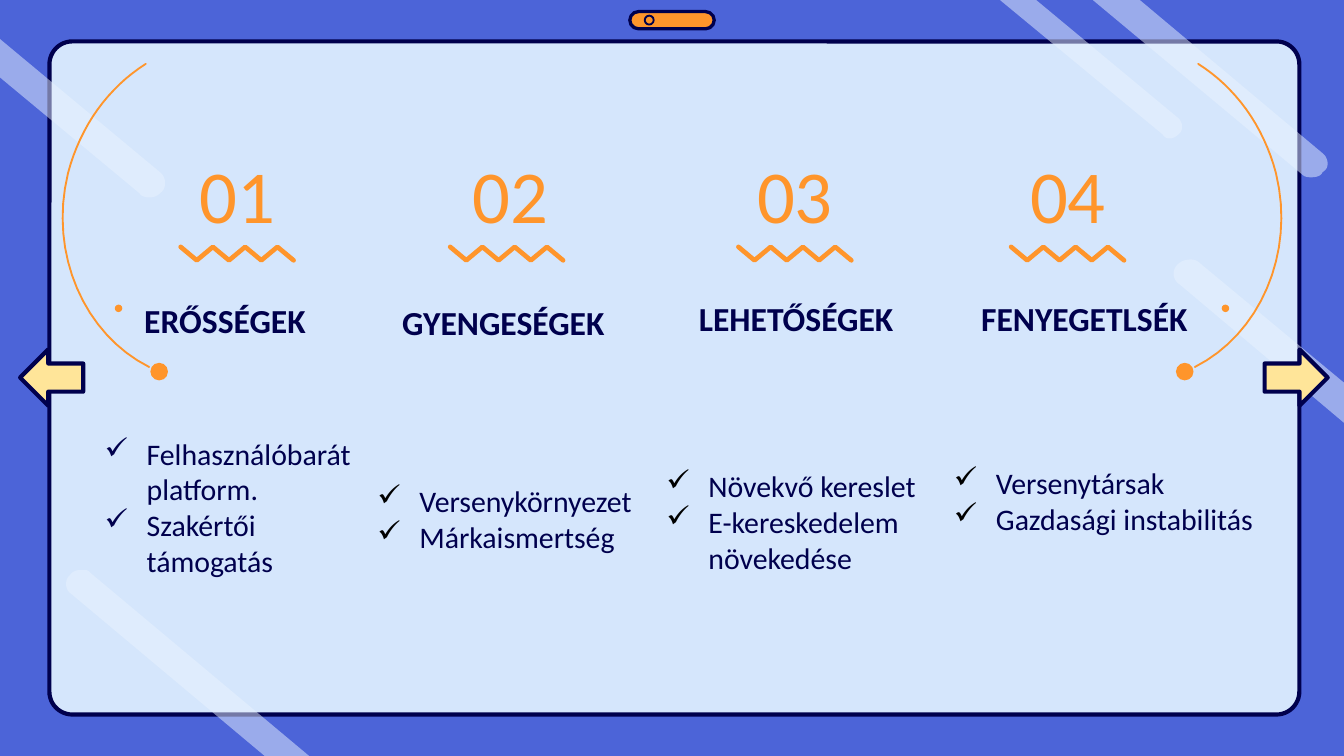
import pptx
import pptx.dml.color
import pptx.enum.shapes
import pptx.enum.text
import pptx.oxml
import pptx.oxml.ns
import pptx.util
import lxml.etree

Pt = pptx.util.Pt
qn = pptx.oxml.ns.qn
SHAPE = pptx.enum.shapes.MSO_SHAPE
COLORS = {
    "background": "4C64D8",
    "panel": "D5E6FC",
    "navy": "00004D",
    "stripe": "E9F3FF",
    "orange": "FF952B",
    "arrow": "FFE599",
    "black": "000000",
}
RGB = {name: pptx.dml.color.RGBColor.from_string(value) for name, value in COLORS.items()}
WIDTH, HEIGHT = 720, 405

presentation = pptx.Presentation()
presentation.slide_width = Pt(WIDTH)
presentation.slide_height = Pt(HEIGHT)
slide = presentation.slides.add_slide(presentation.slide_layouts[6])
slide.background.fill.solid()
slide.background.fill.fore_color.rgb = RGB["background"]


def add_text(text, left, top, width, height, size=16, color="navy", bold=False, bullet=None):
    box = slide.shapes.add_textbox(Pt(left), Pt(top), Pt(width), Pt(height))
    frame = box.text_frame
    frame.word_wrap = True
    frame.vertical_anchor = pptx.enum.text.MSO_ANCHOR.MIDDLE
    frame.margin_left = frame.margin_right = frame.margin_top = frame.margin_bottom = Pt(7.2)
    frame.text = text
    for paragraph in frame.paragraphs:
        font = paragraph.font
        for run in paragraph.runs:
            font = run.font
            font.name = "Calibri"
            font.size = Pt(size)
            font.bold = bold
            font.color.rgb = RGB[color]
        if bullet is None:
            paragraph.alignment = pptx.enum.text.PP_ALIGN.CENTER
            continue
        properties = paragraph._p.get_or_add_pPr()
        properties.set("marL", str(Pt(22.5)))
        properties.set("indent", str(-Pt(22.5)))
        bullet_color = lxml.etree.SubElement(properties, qn("a:buClr"))
        lxml.etree.SubElement(bullet_color, qn("a:srgbClr")).set("val", COLORS[bullet])
        lxml.etree.SubElement(properties, qn("a:buChar")).set("char", "✓")


def add_figure(figure, fill=None, line=None, weight=1, path=(), box=(), adjustments=(), alpha=None):
    if path:
        points = [path[0]]
        for step in path[1:]:
            if len(step) == 2:
                points.append(step)
                continue
            x, y = points[-1]
            x1, y1, x2, y2, x3, y3 = step
            for t in [i / 16 for i in range(1, 17)]:
                u = 1 - t
                a, b, c, d = u ** 3, 3 * u * u * t, 3 * u * t * t, t ** 3
                points.append((a * x + b * x1 + c * x2 + d * x3, a * y + b * y1 + c * y2 + d * y3))
        points = [(Pt(x), Pt(y)) for x, y in points]
        builder = slide.shapes.build_freeform(*points[0])
        builder.add_line_segments(points[1:], close=fill is not None)
        shape = builder.convert_to_shape()
    else:
        shape = slide.shapes.add_shape(figure, *[Pt(value) for value in box])
    shape.shadow.inherit = False
    for index, value in enumerate(adjustments):
        shape.adjustments[index] = value
    if fill:
        shape.fill.solid()
        shape.fill.fore_color.rgb = RGB[fill]
        if alpha:
            color = shape._element.spPr.find(qn("a:solidFill"))[0]
            lxml.etree.SubElement(color, qn("a:alpha")).set("val", str(alpha * 1000))
    else:
        shape.fill.background()
    if line:
        shape.line.color.rgb = RGB[line]
        shape.line.width = Pt(weight)
        if path:
            outline = shape._element.spPr.find(qn("a:ln"))
            outline.set("cap", "rnd")
            lxml.etree.SubElement(outline, qn("a:round"))
    else:
        shape.line.fill.background()


add_figure(SHAPE.ROUNDED_RECTANGLE, "panel", "navy", 2.25, box=(26.5, 22.2, 669.6, 360.6), adjustments=[0.034])

stripes = [
    [(585.4, 0), (697.7, 93.6), (699.1, 95, 701.3, 95, 702.7, 95),
     (705, 95, 707.8, 94.3, 708.5, 92.2), (712.8, 90, 711.4, 84.2, 708.5, 82.1), (610.6, 0)],
    [(535.7, 0), (622.8, 72), (624.2, 74.2, 625.7, 74.2, 627.1, 74.2),
     (628.6, 74.2, 630.7, 72.7, 631.4, 72), (634.3, 69.8, 633.6, 65.5, 631.4, 63.4), (555.1, 0)],
    [(43.9, 305.3), (41, 305.3, 38.9, 306, 37.4, 308.2),
     (34.6, 310.3, 34.6, 316.1, 38.2, 318.2), (141.8, 405), (165.6, 405), (48.2, 306.7),
     (47.5, 305.3, 45.4, 305.3, 43.9, 305.3)],
    [(79.9, 105.8), (82.8, 105.8, 84.2, 105.1, 86.4, 103),
     (89.3, 100.8, 89.3, 95, 85.7, 92.2), (0, 20.9), (0, 41.5), (74.9, 103.7),
     (75.6, 105.1, 77.8, 105.8, 79.9, 105.8)],
    [(637.9, 139), (635, 139, 632.9, 139.7, 630.7, 141.8),
     (627.8, 144.7, 627.8, 149.8, 632.2, 152.6), (720, 226.5), (720, 205), (643, 141.1),
     (641.5, 139.7, 640.1, 139, 637.9, 139)],
]
for stripe in stripes:
    add_figure(None, "stripe", path=stripe, alpha=50)

add_figure(SHAPE.ROUNDED_RECTANGLE, "orange", "navy", 1.75, box=(337.4, 6.2, 45.2, 9.2), adjustments=[0.5])
add_figure(SHAPE.OVAL, None, "navy", 1, box=(345.4, 8.4, 4.8, 4.8))

columns = [
    ("01", (51.1, 151.9), 96.8, "ERŐSSÉGEK", (51.8, 148.3, 137.5),
     "Felhasználóbarát platform.\nSzakértői támogatás", (49, 207.4, 156.2, 128.2), "navy"),
    ("02", (197.3, 151.9), 241.2, "GYENGESÉGEK", (190.1, 149, 159.1),
     "Versenykörnyezet\nMárkaismertség", (195.1, 220.3, 156.2, 115.2), "black"),
    ("03", (349.9, 151.9), 395.6, "LEHETŐSÉGEK", (348.5, 146.9, 156.2),
     "Növekvő kereslet\nE-kereskedelem növekedése", (349.9, 223.9, 151.9, 110.9), "black"),
    ("04", (496.1, 151.9), 541.7, "FENYEGETLSÉK", (498.2, 146.9, 165.6),
     "Versenytársak\nGazdasági instabilitás", (504, 233.3, 190.1, 69.8), "black"),
]
for number, (left, width), zigzag_left, heading, heading_box, points, points_box, bullet in columns:
    add_text(number, left, 80.6, width, 46.8, size=40, color="orange")
    add_text(heading, *heading_box, 46.8, size=18, bold=True)
    add_text(points, *points_box, bullet=bullet)
    zigzag = [(zigzag_left + 8.64 * i, 139.5 if i % 2 else 132.3) for i in range(8)]
    add_figure(None, None, "orange", 2.5, path=zigzag)

arc = [(79.9, 196.6), (45.4, 179.3, 25.9, 136.1, 36.4, 92.9), (43.2, 67, 58.3, 46.8, 78.1, 34.2)]
for mirrored in (False, True):
    sides = [[WIDTH - value if mirrored and i % 2 == 0 else value for i, value in enumerate(step)] for step in arc]
    add_figure(None, None, "orange", 1, path=sides)
    for center, middle, size in ((63.5, 165.2, 4), (85.3, 199.1, 9.4)):
        x = WIDTH - center if mirrored else center
        add_figure(SHAPE.OVAL, "orange", box=(x - size / 2, middle - size / 2, size, size))

for arrow, left in ((SHAPE.LEFT_ARROW, 10.8), (SHAPE.RIGHT_ARROW, 677.5)):
    add_figure(arrow, "arrow", "navy", 2.25, box=(left, 187.2, 33.8, 30.2), adjustments=[0.5, 0.5])

presentation.save("out.pptx")
